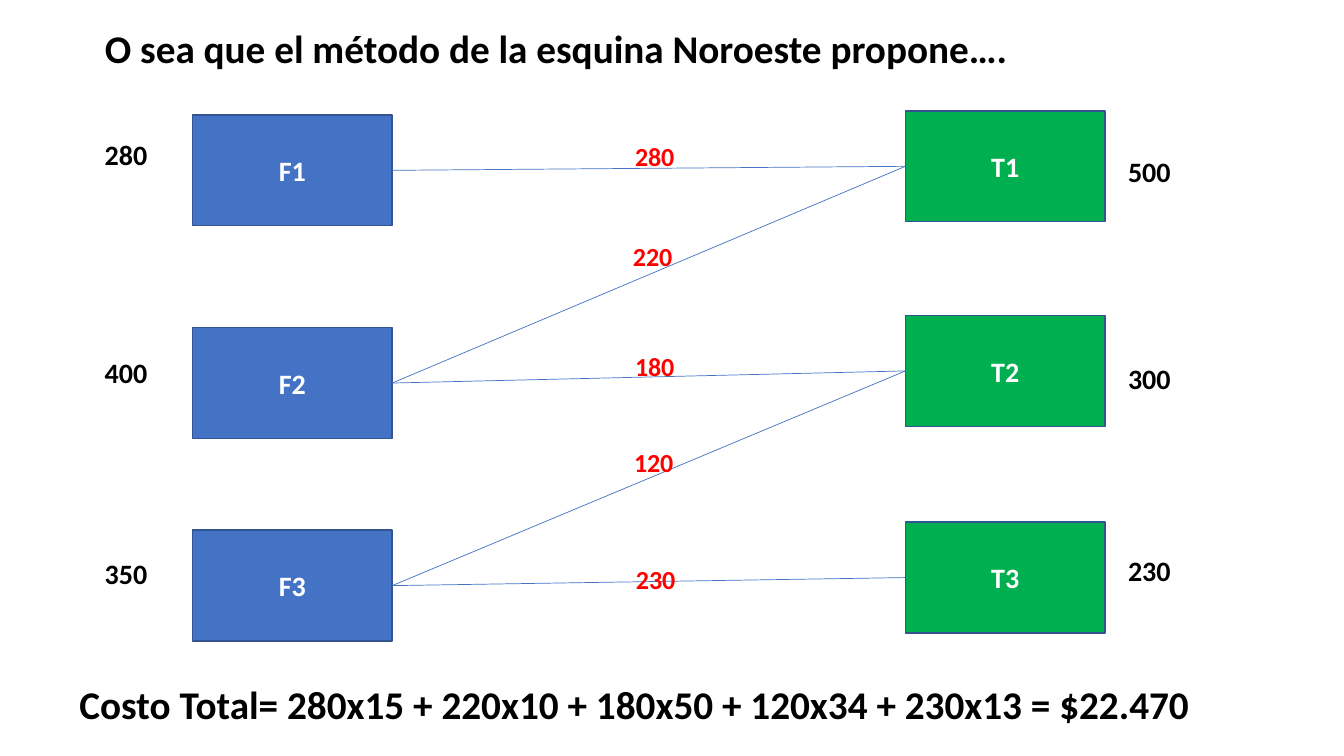
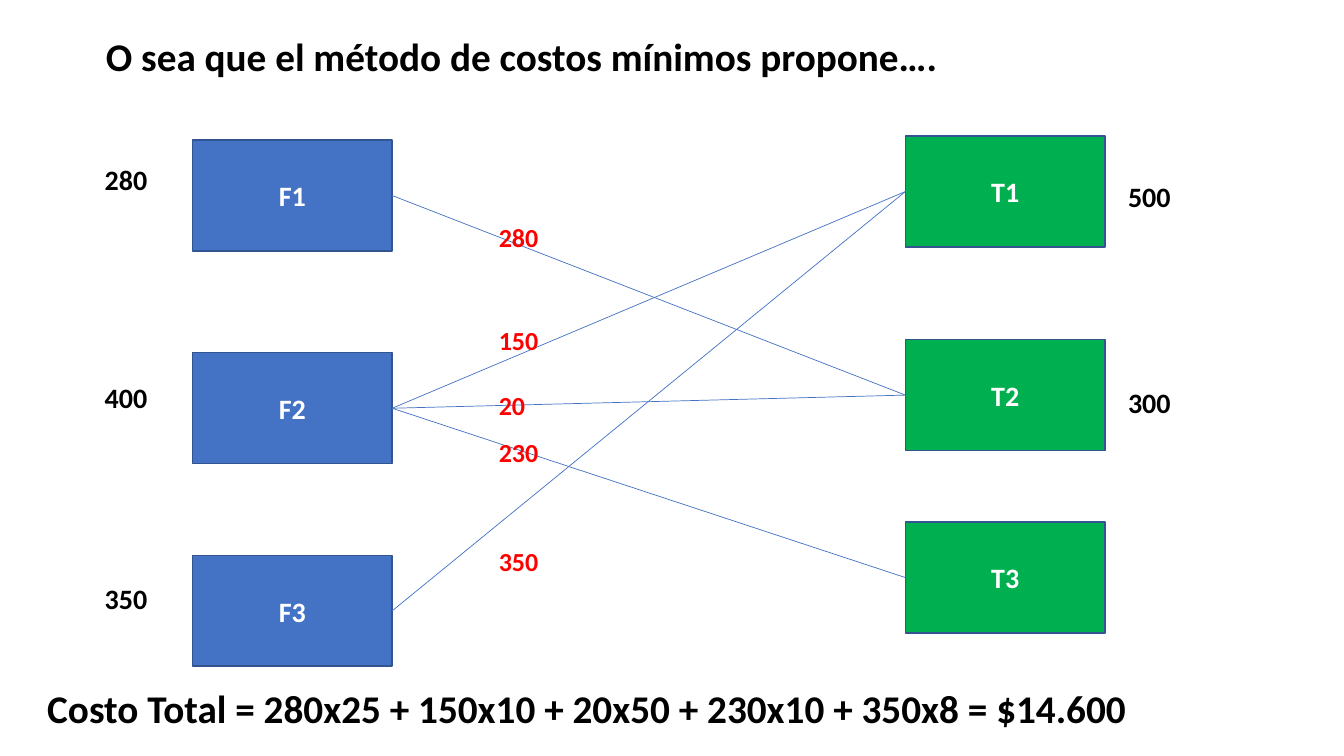
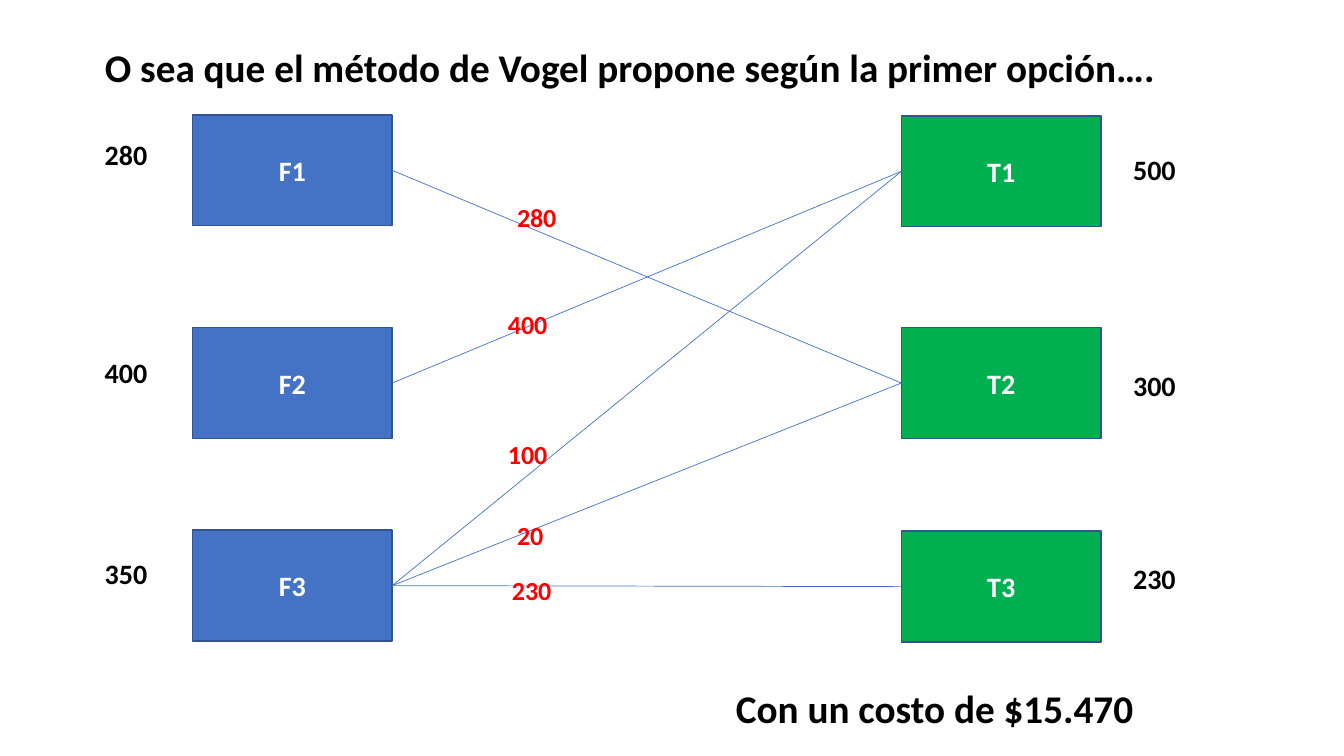
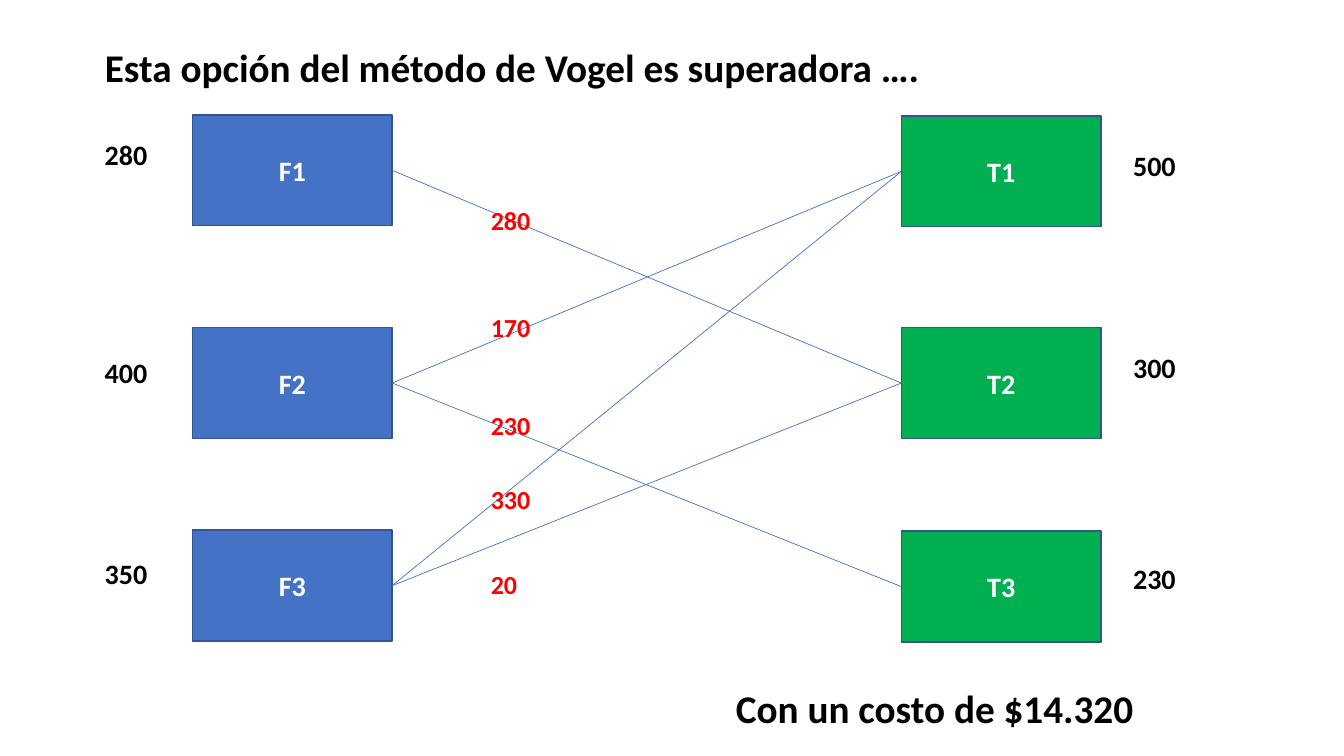
import pptx
import pptx.util
import pptx.dml.color
import pptx.enum.shapes
import pptx.enum.text
import pptx.oxml.ns
import lxml.etree

Inches = pptx.util.Inches
Align = pptx.enum.text.PP_ALIGN
Anchor = pptx.enum.text.MSO_ANCHOR

# Shared look
BLACK, WHITE, RED = "000000", "FFFFFF", "FF0000"
BLUE, GREEN, OUTLINE = "4472C4", "00B050", "325491"
HEADING = {"size": pptx.util.Pt(28), "color": BLACK}
AMOUNT = {"size": pptx.util.Pt(20), "color": BLACK}
NODE = {"size": pptx.util.Pt(20), "color": WHITE}
FLOW = {"size": pptx.util.Pt(32), "color": RED}
COMMON_FONT = {"name": "Calibri", "bold": True}
TEXT_FRAME = {
    "word_wrap": True,
    "auto_size": pptx.enum.text.MSO_AUTO_SIZE.SHAPE_TO_FIT_TEXT,
    "vertical_anchor": Anchor.TOP,
}
NODE_FRAME = {"word_wrap": True, "vertical_anchor": Anchor.MIDDLE}

# Shared layout, in inches
NODE_SIZE = (1.98, 1.1)
AMOUNT_SIZE = (0.97, 0.52)
FLOW_SIZE = (0.83, 0.46)
SUPPLY_LEFT, FACTORY_LEFT = 0.94, 1.91
FACTORY_STEPS = (0, 2.11, 4.12)
SUPPLIES = (("280", 0.17), ("400", 0.23), ("350", 0.21))
RIGHT_SITE, LEFT_SITE = 3, 1


def rgb(value):
    return pptx.dml.color.RGBColor.from_string(value)


def set_all(target, values):
    for name, value in values.items():
        setattr(target, name, value)


def write(shape, text, style, frame=TEXT_FRAME, alignment=Align.LEFT):
    set_all(shape.text_frame, frame)
    paragraph = shape.text_frame.paragraphs[0]
    paragraph.alignment = alignment
    run = paragraph.add_run()
    run.text = text
    set_all(run.font, COMMON_FONT | {"size": style["size"]})
    run.font.color.rgb = rgb(style["color"])
    return run


def add_text(slide, box, text, style):
    shape = slide.shapes.add_textbox(*map(Inches, box))
    return write(shape, text, style)


def add_title(slide, box, text):
    title = slide.shapes.title
    set_all(title, dict(zip(("left", "top", "width", "height"), map(Inches, box))))
    write(title, text, HEADING)


def add_node(slide, box, text, fill):
    node = slide.shapes.add_shape(
        pptx.enum.shapes.MSO_SHAPE.RECTANGLE, *map(Inches, box))
    node.shadow.inherit = False
    node.fill.solid()
    node.fill.fore_color.rgb = rgb(fill)
    node.line.color.rgb = rgb(OUTLINE)
    node.line.width = pptx.util.Pt(1)
    write(node, text, NODE, NODE_FRAME, Align.CENTER)
    return node


def add_column(slide, prefix, fill, left, tops, amount_left, amounts):
    """Stack the nodes of one side, each with its amount beside it."""
    nodes = []
    for number, top in enumerate(tops, 1):
        box = (left, top, *NODE_SIZE)
        nodes.append(add_node(slide, box, f"{prefix}{number}", fill))
    for top, (amount, drop) in zip(tops, amounts):
        box = (amount_left, top + drop, *AMOUNT_SIZE)
        add_text(slide, box, amount, AMOUNT)
    return nodes


def add_route(slide, factory, terminal):
    route = slide.shapes.add_connector(
        pptx.enum.shapes.MSO_CONNECTOR.STRAIGHT, 0, 0, 0, 0)
    route.begin_connect(factory, RIGHT_SITE)
    route.end_connect(terminal, LEFT_SITE)
    route.line.color.rgb = rgb(BLUE)
    route.line.width = pptx.util.Pt(0.5)
    properties = route._element.spPr
    lxml.etree.SubElement(properties, pptx.oxml.ns.qn("a:effectLst"))


def add_flow(slide, left, top, amount):
    run = add_text(slide, (left, top, *FLOW_SIZE), amount, FLOW)
    run._r.get_or_add_rPr().set("baseline", "-25000")


def add_network_slide(presentation, plan):
    slide = presentation.slides.add_slide(presentation.slide_layouts[5])
    add_title(slide, plan["title_box"], plan["title"])

    # Factories with supplies, terminals with demands
    factory_tops = [plan["factory_top"] + step for step in FACTORY_STEPS]
    factories = add_column(slide, "F", BLUE, FACTORY_LEFT, factory_tops,
                           SUPPLY_LEFT, SUPPLIES)
    terminals = add_column(slide, "T", GREEN, plan["terminal_left"],
                           plan["terminal_tops"], plan["demand_left"],
                           plan["demands"])

    # Routes, then the amounts they carry
    for factory, terminal, *_ in plan["routes"]:
        add_route(slide, factories[factory - 1], terminals[terminal - 1])
    for _, _, amount, left, top in plan["routes"]:
        add_flow(slide, left, top, amount)

    add_text(slide, plan["cost_box"], plan["cost"], HEADING)


# Terminal columns: amounts are (text, drop below the node's top)
STAGGERED = {"terminal_left": 8.98, "demand_left": 11.09}
ALIGNED = {
    "factory_top": 1.14,
    "terminal_left": 8.94,
    "terminal_tops": (1.15, 3.25, 5.27),
    "demand_left": 11.14,
    "title_box": (0.94, 0.38, 11.32, 0.57),
    "cost_box": (7.2, 6.74, 4.49, 0.57),
}

# Routes: factory, terminal, amount, label left, label top
PLANS = [
    STAGGERED | {
        "title": "O sea que el método de la esquina Noroeste propone….",
        "title_box": (0.94, 0.19, 11.32, 0.57),
        "factory_top": 1.14,
        "terminal_tops": (1.1, 3.13, 5.18),
        "demands": (("500", 0.38), ("300", 0.41), ("230", 0.26)),
        "routes": [
            (1, 1, "280", 6.2, 1.05),
            (2, 1, "220", 6.18, 2.04),
            (2, 2, "180", 6.2, 3.13),
            (3, 2, "120", 6.19, 4.08),
            (3, 3, "230", 6.21, 5.24),
        ],
        "cost": "Costo Total= 280x15 + 220x10 + 180x50 + 120x34 + 230x13 = $22.470",
        "cost_box": (0.69, 6.7, 12, 0.57),
    },
    STAGGERED | {
        "title": "O sea que el método de costos mínimos propone….",
        "title_box": (0.95, 0.27, 11.32, 0.57),
        "factory_top": 1.39,
        "terminal_tops": (1.35, 3.37, 5.18),
        "demands": (("500", 0.38), ("300", 0.41)),
        "routes": [
            (1, 2, "280", 4.85, 1.85),
            (2, 1, "150", 4.85, 2.87),
            (2, 2, "20", 4.85, 3.52),
            (2, 3, "230", 4.85, 3.98),
            (3, 1, "350", 4.85, 5.07),
        ],
        "cost": "Costo Total = 280x25 + 150x10 + 20x50 + 230x10 + 350x8 = $14.600",
        "cost_box": (0.37, 6.74, 11.32, 0.57),
    },
    ALIGNED | {
        "title": "O sea que el método de Vogel propone según la primer opción….",
        "demands": (("500", 0.31), ("300", 0.36), ("230", 0.25)),
        "routes": [
            (1, 2, "280", 5.03, 1.65),
            (2, 1, "400", 4.94, 2.71),
            (3, 1, "100", 4.94, 4),
            (3, 2, "20", 5.03, 4.81),
            (3, 3, "230", 4.98, 5.35),
        ],
        "cost": "Con un costo de $15.470",
    },
    ALIGNED | {
        "title": "Esta opción del método de Vogel es superadora ….",
        "demands": (("500", 0.27), ("300", 0.18), ("230", 0.25)),
        "routes": [
            (1, 2, "280", 4.77, 1.68),
            (2, 1, "170", 4.77, 2.74),
            (2, 3, "230", 4.77, 3.72),
            (3, 1, "330", 4.77, 4.45),
            (3, 2, "20", 4.77, 5.29),
        ],
        "cost": "Con un costo de $14.320",
    },
]

presentation = pptx.Presentation()
presentation.slide_width = Inches(13.33)
presentation.slide_height = Inches(7.5)
for plan in PLANS:
    add_network_slide(presentation, plan)
presentation.save("out.pptx")
